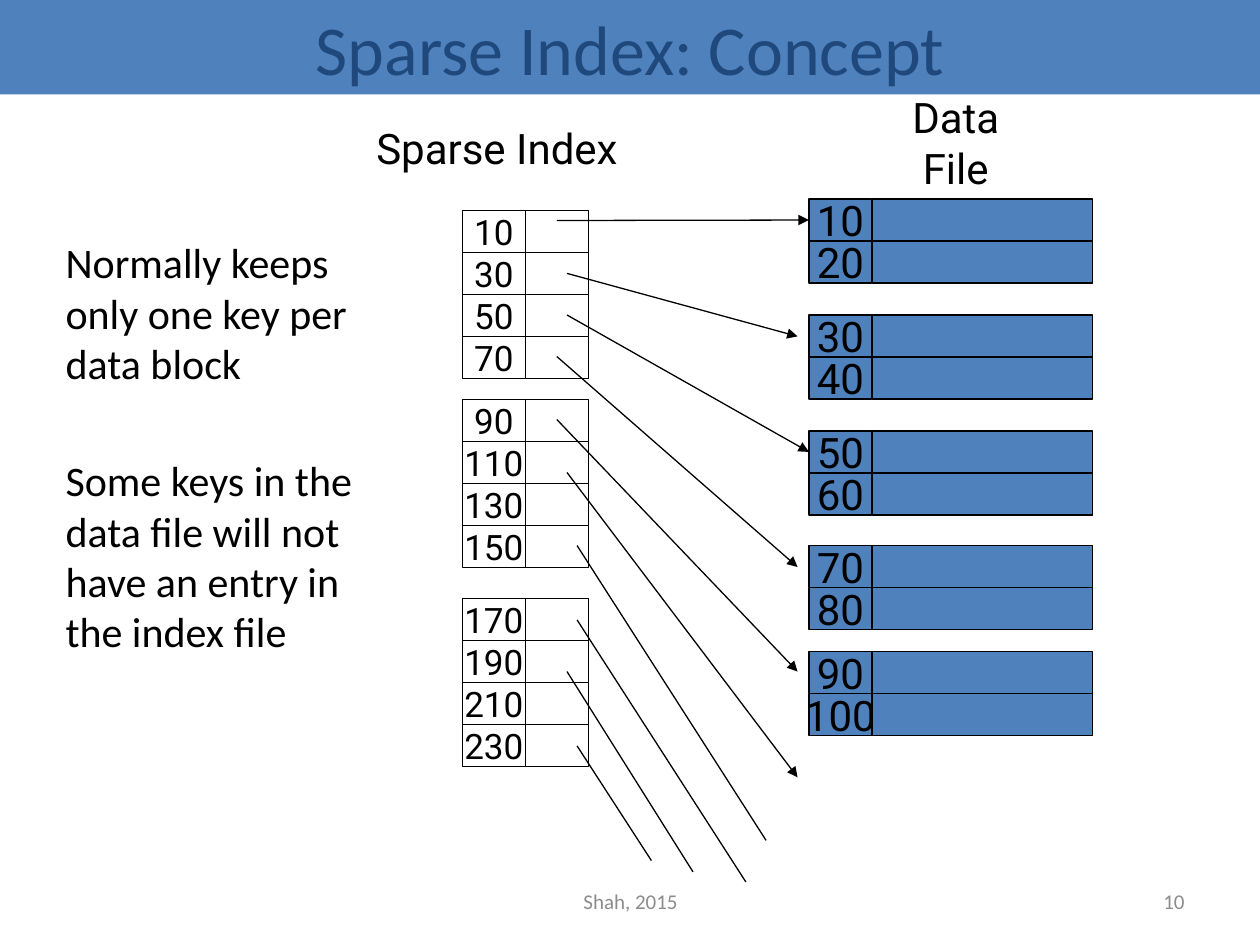
"""Build the slide that explains a sparse index."""

from dataclasses import dataclass
from typing import NamedTuple, Optional

from lxml.etree import SubElement
from pptx import Presentation
from pptx.dml.color import RGBColor as Color
from pptx.enum.shapes import MSO_AUTO_SHAPE_TYPE as Kind, MSO_CONNECTOR as Link
from pptx.enum.text import MSO_ANCHOR as Anchor, MSO_AUTO_SIZE as Fit, PP_ALIGN as Align
from pptx.oxml.ns import qn
from pptx.shapes.autoshape import Shape
from pptx.slide import Slide
from pptx.text.text import _Paragraph as Para
from pptx.util import Inches, Pt


@dataclass(frozen=True)
class Theme:
    """Colours, fonts and type sizes."""

    blue: Color = Color(0x4F, 0x81, 0xBD)
    navy: Color = Color(0x1F, 0x49, 0x7D)
    black: Color = Color(0, 0, 0)
    white: Color = Color(255, 255, 255)
    gray: Color = Color(0x8C, 0x8C, 0x8C)
    sans: str = "Calibri"
    label: str = "Roboto"
    title: int = 40
    body: int = 24
    key: int = 20
    foot: int = 12
    rule: float = 0.75


class Box(NamedTuple):
    """Place and size in inches."""

    left: float
    top: float
    width: float
    height: float


class Style(NamedTuple):
    """Look of a run of text."""

    font: str
    size: int
    color: Color


@dataclass(frozen=True)
class Table:
    """Column of key blocks that share one look."""

    left: float
    width: float
    fill: Color
    style: Style
    blocks: dict[float, list[int]]


class Arrow(NamedTuple):
    """Pointer from an index entry, with the key it joins if any."""

    x: float
    y: float
    to_x: float
    to_y: float
    head: bool = True
    key: Optional[int] = None


THEME = Theme()
ROW = 1 / 3
KEY = 0.5
HEAD = Style(THEME.label, THEME.body, THEME.black)
FOOT = Style(THEME.sans, THEME.foot, THEME.gray)
INDEX = Table(3.67, 0.5, THEME.white, Style(THEME.label, THEME.key, THEME.black), {
    1.67: [10, 30, 50, 70],
    3.17: [90, 110, 130, 150],
    4.75: [170, 190, 210, 230],
})
DATA = Table(6.42, 1.75, THEME.blue, HEAD, {
    1.58: [10, 20],
    2.5: [30, 40],
    3.42: [50, 60],
    4.33: [70, 80],
    5.17: [90, 100],
})
ARROWS = [
    Arrow(4.42, 1.75, 6.42, 1.75, key=10),
    Arrow(4.5, 2.17, 6.33, 2.67),
    Arrow(4.5, 2.5, 6.42, 3.58, key=50),
    Arrow(4.42, 2.83, 6.33, 4.5),
    Arrow(4.42, 3.33, 6.33, 5.33),
    Arrow(4.5, 3.75, 6.33, 6.17),
    Arrow(4.58, 4.33, 6.08, 6.67, head=False),
    Arrow(4.58, 4.92, 5.92, 7, head=False),
    Arrow(4.5, 5.33, 5.5, 6.92, head=False),
    Arrow(4.58, 5.92, 5.17, 6.83, head=False),
]
NOTES = [
    "Normally keeps only one key per data block",
    "Some keys in the data file will not have an entry in the index file",
]


def place(shape: Shape, box: Box) -> None:
    """Move and size a shape."""
    shape.left, shape.top, shape.width, shape.height = map(Inches, box)


def write(para: Para, text: str, style: Style, align: Align) -> None:
    """Add one styled run to a paragraph."""
    para.alignment = align
    run = para.add_run()
    run.text = text
    run.font.name = style.font
    run.font.size = Pt(style.size)
    run.font.color.rgb = style.color


def label(slide: Slide, box: Box, text: str, style: Style,
          align: Align = Align.CENTER, wrap: bool = True) -> None:
    """Draw a text box with one line."""
    frame = slide.shapes.add_textbox(*map(Inches, box)).text_frame
    frame.word_wrap = wrap
    frame.vertical_anchor = Anchor.MIDDLE
    write(frame.paragraphs[0], text, style, align)


def cell(slide: Slide, box: Box, fill: Color) -> Shape:
    """Draw one bordered cell."""
    shape = slide.shapes.add_shape(Kind.RECTANGLE, *map(Inches, box))
    shape.shadow.inherit = False
    shape.fill.solid()
    shape.fill.fore_color.rgb = fill
    shape.line.color.rgb = THEME.black
    shape.line.width = Pt(THEME.rule)
    return shape


def grid(slide: Slide, table: Table) -> dict[int, Shape]:
    """Draw every block of a table and return its key cells."""
    cells = {}
    for start, keys in table.blocks.items():
        for i, key in enumerate(keys):
            top = start + i * ROW
            shape = cell(slide, Box(table.left, top, KEY, ROW), table.fill)
            frame = shape.text_frame
            frame.word_wrap = False
            frame.vertical_anchor = Anchor.MIDDLE
            write(frame.paragraphs[0], str(key), table.style, Align.CENTER)
            cell(slide, Box(table.left + KEY, top, table.width, ROW), table.fill)
            cells[key] = shape
    return cells


def point(slide: Slide, arrow: Arrow, cells: dict[int, Shape]) -> None:
    """Draw one pointer line."""
    line = slide.shapes.add_connector(Link.STRAIGHT, *map(Inches, arrow[:4]))
    line.line.color.rgb = THEME.black
    line.line.width = Pt(THEME.rule)
    if arrow.head:
        SubElement(line.line._get_or_add_ln(), qn("a:tailEnd"), type="triangle")
    SubElement(line._element.spPr, qn("a:effectLst"))
    if arrow.key is not None:
        line.end_connect(cells[arrow.key], 1)


def banner(slide: Slide) -> None:
    """Fill the title placeholder."""
    title = slide.shapes.title
    place(title, Box(0, 0, 10, 0.75))
    title.fill.solid()
    title.fill.fore_color.rgb = THEME.blue
    frame = title.text_frame
    frame.auto_size = Fit.NONE
    frame.vertical_anchor = Anchor.MIDDLE
    style = Style(THEME.sans, THEME.title, THEME.navy)
    write(frame.paragraphs[0], "Sparse Index: Concept", style, Align.CENTER)


def notes(slide: Slide) -> None:
    """Fill the body placeholder with unbulleted remarks."""
    body = slide.placeholders[1]
    place(body, Box(0.42, 1.83, 2.83, 3.93))
    frame = body.text_frame
    frame.auto_size = Fit.NONE
    style = Style(THEME.sans, THEME.body, THEME.black)
    for i, text in enumerate(NOTES):
        para = frame.add_paragraph() if i else frame.paragraphs[0]
        props = para._p.get_or_add_pPr()
        props.set("marL", "0")
        props.set("indent", "0")
        SubElement(props, qn("a:buNone"))
        para.space_before = Pt(38 if i else 0)
        write(para, text, style, Align.LEFT)


def main() -> None:
    """Build and save the deck."""
    deck = Presentation()
    deck.slide_width, deck.slide_height = Inches(10), Inches(7.5)
    slide = deck.slides.add_slide(deck.slide_layouts[1])
    banner(slide)
    notes(slide)
    label(slide, Box(2.88, 0.92, 2.13, 0.5), "Sparse Index", HEAD, wrap=False)
    label(slide, Box(6.84, 0.88, 1.49, 0.5), "Data File", HEAD, wrap=False)
    grid(slide, INDEX)
    cells = grid(slide, DATA)
    for arrow in ARROWS:
        point(slide, arrow, cells)
    label(slide, Box(3.42, 6.95, 3.17, 0.4), "Shah, 2015", FOOT)
    label(slide, Box(7.17, 6.95, 2.33, 0.4), "10", FOOT, Align.RIGHT)
    deck.save("out.pptx")


if __name__ == "__main__":
    main()
